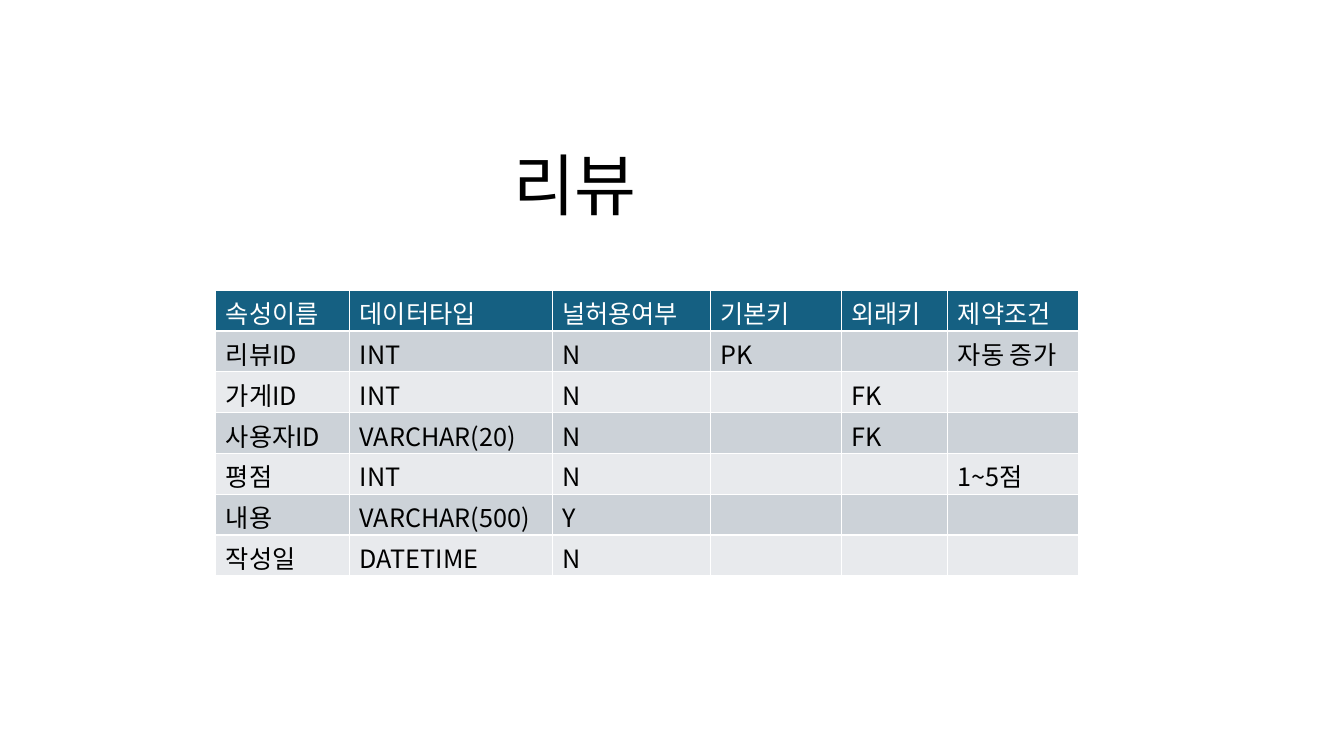
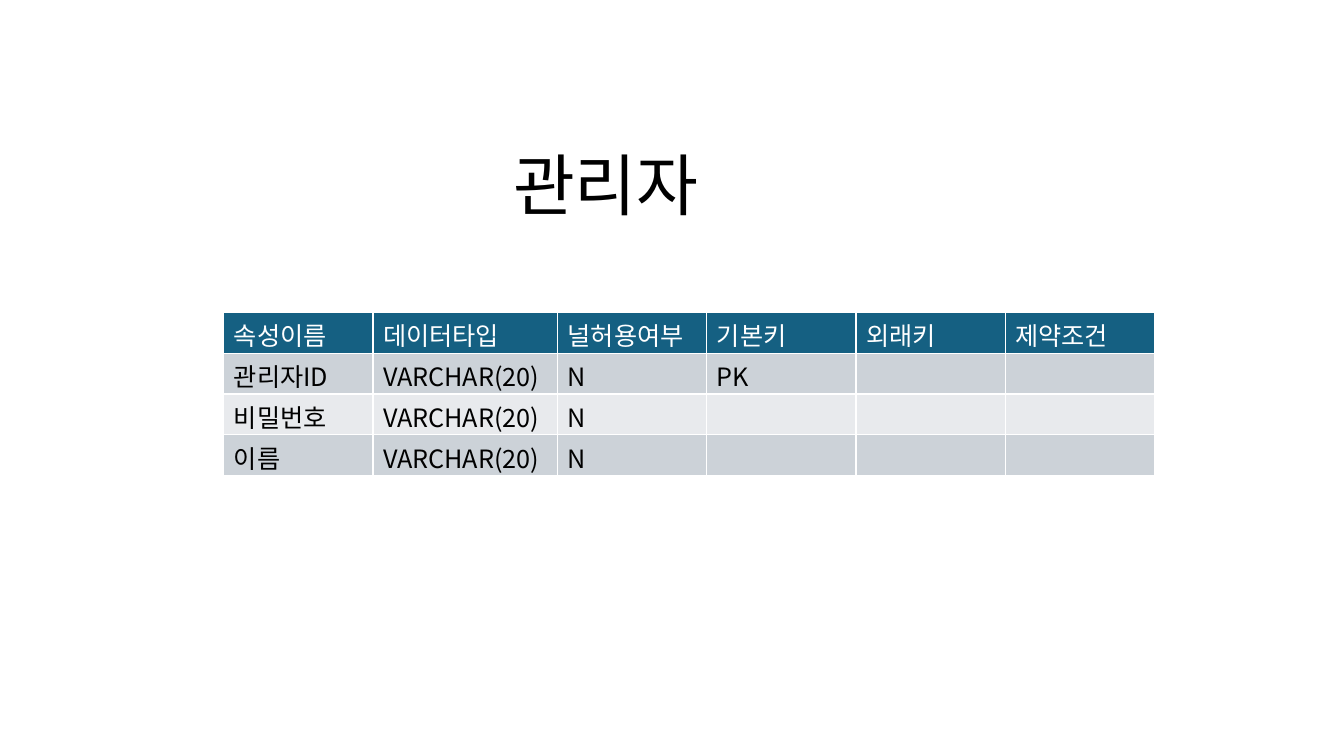
from lxml import etree
from pptx import Presentation
from pptx.dml.color import RGBColor
from pptx.enum.text import MSO_ANCHOR, MSO_AUTO_SIZE, PP_ALIGN
from pptx.oxml.ns import qn
from pptx.util import Inches, Pt

MIDDLE = MSO_ANCHOR.MIDDLE
LEFT = PP_ALIGN.LEFT
NO_AUTOFIT = MSO_AUTO_SIZE.NONE

FONT = "Noto Sans CJK KR"
BLACK, WHITE = "000000", "FFFFFF"
HEADER_FILL = "156082"
BAND_FILLS = ("CCD2D8", "E8EAED")
TITLE_ONLY = 5
TITLE_BOX = (4.99, 1.37, 2.9, 0.91)
TITLE_SIZE, CELL_SIZE = 48, 18
ROW_HEIGHT = 0.405
HEADINGS = ("속성이름", "데이터타입", "널허용여부", "기본키", "외래키", "제약조건")

ENTITIES = [
    {
        "title": "리뷰",
        "box": (2.14, 2.88, 8.56),
        "columns": (1.33, 2.01, 1.57, 1.3, 1.06, 1.3),
        "rows": [
            ("리뷰ID", "INT", "N", "PK", "", "자동 증가"),
            ("가게ID", "INT", "N", "", "FK", ""),
            ("사용자ID", "VARCHAR(20)", "N", "", "FK", ""),
            ("평점", "INT", "N", "", "", "1~5점"),
            ("내용", "VARCHAR(500)", "Y", "", "", ""),
            ("작성일", "DATETIME", "N", "", "", ""),
        ],
    },
    {
        "title": "관리자",
        "box": (2.22, 3.1, 9.23),
        "columns": (1.48, 1.83, 1.48, 1.48, 1.48, 1.48),
        "rows": [
            ("관리자ID", "VARCHAR(20)", "N", "PK", "", ""),
            ("비밀번호", "VARCHAR(20)", "N", "", "", ""),
            ("이름", "VARCHAR(20)", "N", "", "", ""),
        ],
    },
]


def color(hex_string):
    """Turn a hex string into a colour."""
    return RGBColor.from_string(hex_string)


def format_text(text_frame, size, hex_string):
    """Give every run the shared font, a size and a colour."""
    for paragraph in text_frame.paragraphs:
        paragraph.alignment = LEFT
        paragraph.line_spacing = 1.0
        for run in paragraph.runs:
            run.font.name = FONT
            run.font.size = Pt(size)
            run.font.bold = False
            run.font.color.rgb = color(hex_string)
            east_asian = etree.SubElement(run._r.get_or_add_rPr(), qn("a:ea"))
            east_asian.set("typeface", FONT)


def place_title(slide, text, box):
    """Move the title placeholder into its box and format it."""
    title = slide.shapes.title
    title.left, title.top, title.width, title.height = map(Inches, box)
    text_frame = title.text_frame
    text_frame.text = text
    text_frame.word_wrap = True
    text_frame.auto_size = NO_AUTOFIT
    text_frame.vertical_anchor = MIDDLE
    format_text(text_frame, TITLE_SIZE, BLACK)


def fill_cell(cell, text, fill, text_color):
    """Write one table cell on its band colour."""
    cell.fill.solid()
    cell.fill.fore_color.rgb = color(fill)
    cell.margin_top, cell.margin_bottom = Inches(0.04), 0
    cell.vertical_anchor = MIDDLE
    if text:
        cell.text_frame.text = text
        format_text(cell.text_frame, CELL_SIZE, text_color)


def add_attribute_table(slide, box, columns, rows):
    """Add the attribute table with columns sharing the width of its box."""
    left, top, width = box
    lines = [HEADINGS, *rows]
    frame = slide.shapes.add_table(
        len(lines), len(columns), Inches(left), Inches(top),
        Inches(width), Inches(ROW_HEIGHT * len(lines)))
    table = frame.table
    for column, share in zip(table.columns, columns):
        column.width = Inches(width * share / sum(columns))
    for index, (row, texts) in enumerate(zip(table.rows, lines)):
        row.height = Inches(ROW_HEIGHT)
        fill = BAND_FILLS[(index - 1) % 2] if index else HEADER_FILL
        text_color = BLACK if index else WHITE
        for cell, text in zip(row.cells, texts):
            fill_cell(cell, text, fill, text_color)


def add_entity_slide(presentation, title, box, columns, rows):
    """Add a slide that describes one database entity."""
    slide = presentation.slides.add_slide(presentation.slide_layouts[TITLE_ONLY])
    place_title(slide, title, TITLE_BOX)
    add_attribute_table(slide, box, columns, rows)


def main():
    """Build and save the presentation."""
    presentation = Presentation()
    presentation.slide_width = Inches(13.33)
    presentation.slide_height = Inches(7.5)
    for entity in ENTITIES:
        add_entity_slide(presentation, **entity)
    presentation.save("out.pptx")


if __name__ == "__main__":
    main()
